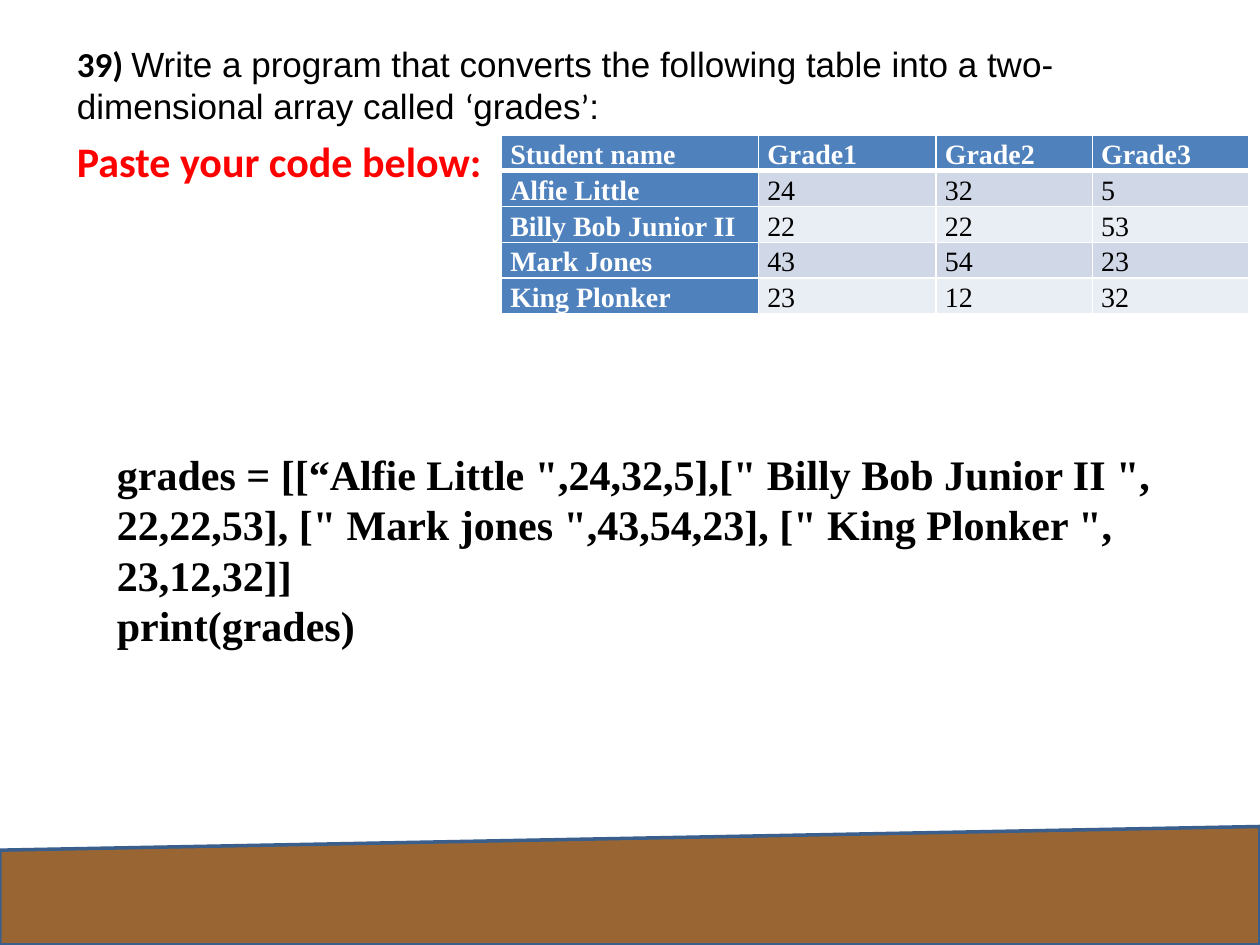
import pptx
import pptx.dml.color
import pptx.enum.shapes
import pptx.enum.text
import pptx.oxml.ns
import pptx.util
import lxml.etree

Inches = pptx.util.Inches
Pt = pptx.util.Pt

GRADES = [
    ["Student name", "Grade1", "Grade2", "Grade3"],
    ["Alfie Little", "24", "32", "5"],
    ["Billy Bob Junior II", "22", "22", "53"],
    ["Mark Jones", "43", "54", "23"],
    ["King Plonker", "23", "12", "32"],
]
COLUMN_WIDTHS = [2.04, 1.41, 1.24, 1.24]
ROW_HEIGHT = 0.28
QUESTION = [
    ("39) ", "Calibri", True),
    ("Write a program that converts the following table into a "
     "two-dimensional array called ", "Arial", False),
    ("‘", "Calibri", False),
    ("grades", "Arial", False),
    ("’", "Calibri", False),
    (":", "Arial", False),
]
ANSWER = [
    'grades = [[“Alfie Little ",24,32,5],[" Billy Bob Junior II ", 22,22,53], '
    '[" Mark jones ",43,54,23], [" King Plonker ", 23,12,32]]',
    "print(grades)",
]


def color(value):
    return pptx.dml.color.RGBColor.from_string(value)


def style(font, name, size, hue, bold):
    font.name = name
    font.size = Pt(size)
    font.color.rgb = color(hue)
    font.bold = bold


def add_element(parent, tag, **attributes):
    return lxml.etree.SubElement(parent, pptx.oxml.ns.qn(tag), **attributes)


def remove_bullet(paragraph):
    properties = paragraph._p.get_or_add_pPr()
    properties.set("marL", "0")
    properties.set("indent", "0")
    add_element(properties, "a:buNone")


def add_ground(slide, left, top, width, height):
    ground = slide.shapes.add_shape(
        pptx.enum.shapes.MSO_SHAPE.FLOWCHART_MANUAL_INPUT,
        Inches(left), Inches(top), Inches(width), Inches(height))
    ground.shadow.inherit = False
    ground.fill.solid()
    ground.fill.fore_color.rgb = color("996633")
    ground.line.color.rgb = color("3A5F8C")
    ground.line.width = Pt(2)


def fill_question(body, left, top, width, height):
    body.left, body.top = Inches(left), Inches(top)
    body.width, body.height = Inches(width), Inches(height)
    frame = body.text_frame
    frame.auto_size = pptx.enum.text.MSO_AUTO_SIZE.NONE
    question = frame.paragraphs[0]
    question.space_before = Pt(0)
    remove_bullet(question)
    for text, name, bold in QUESTION:
        run = question.add_run()
        run.text = text
        style(run.font, name, 20, "000000", bold)
    prompt = frame.add_paragraph()
    prompt.text = "Paste your code below:"
    prompt.space_before = Pt(4.8)
    remove_bullet(prompt)
    style(prompt.font, "Calibri", 24, "FF0000", True)


def add_borders(cell, bottom_width):
    properties = cell._tc.get_or_add_tcPr()
    for tag, width in (("a:lnL", 1), ("a:lnR", 1), ("a:lnT", 1), ("a:lnB", bottom_width)):
        border = add_element(properties, tag, w=str(Pt(width)))
        add_element(add_element(border, "a:solidFill"), "a:srgbClr", val="FFFFFF")


def add_grades_table(slide, left, top):
    table = slide.shapes.add_table(
        len(GRADES), len(COLUMN_WIDTHS), Inches(left), Inches(top),
        Inches(sum(COLUMN_WIDTHS)), Inches(ROW_HEIGHT * len(GRADES))).table
    table.first_col = True
    for column, width in zip(table.columns, COLUMN_WIDTHS):
        column.width = Inches(width)
    for row_index, row in enumerate(GRADES):
        table.rows[row_index].height = Inches(ROW_HEIGHT)
        band = "D0D8E8" if row_index % 2 else "E9EDF4"
        for column_index, text in enumerate(row):
            heading = row_index == 0 or column_index == 0
            cell = table.cell(row_index, column_index)
            cell.margin_left = cell.margin_right = Inches(0.07)
            cell.margin_top = cell.margin_bottom = Inches(0)
            add_borders(cell, 3 if row_index == 0 else 1)
            cell.fill.solid()
            cell.fill.fore_color.rgb = color("4F81BD" if heading else band)
            cell.text = text
            entry = cell.text_frame.paragraphs[0]
            entry.line_spacing = 1.15
            entry.space_after = Pt(10)
            style(entry.font, "Times New Roman", 16,
                  "FFFFFF" if heading else "000000", heading)


def add_answer(slide, left, top, width, height):
    answer = slide.shapes.add_textbox(
        Inches(left), Inches(top), Inches(width), Inches(height))
    frame = answer.text_frame
    frame.word_wrap = True
    frame.auto_size = pptx.enum.text.MSO_AUTO_SIZE.SHAPE_TO_FIT_TEXT
    frame.text = "\n".join(ANSWER)
    for line in frame.paragraphs:
        style(line.font, "Times New Roman", 24, "000000", True)


def build_exercise(presentation):
    slide = presentation.slides.add_slide(presentation.slide_layouts[1])
    title = slide.shapes.title
    title.element.getparent().remove(title.element)
    add_ground(slide, 0, 6.56, 10, 0.94)
    fill_question(slide.placeholders[1], 0.51, 0.29, 9, 4.95)
    add_grades_table(slide, 3.98, 1.07)
    add_answer(slide, 0.83, 3.51, 8.9, 1.72)


def main():
    presentation = pptx.Presentation()
    presentation.slide_width = Inches(10)
    presentation.slide_height = Inches(7.5)
    build_exercise(presentation)
    presentation.save("out.pptx")


if __name__ == "__main__":
    main()
